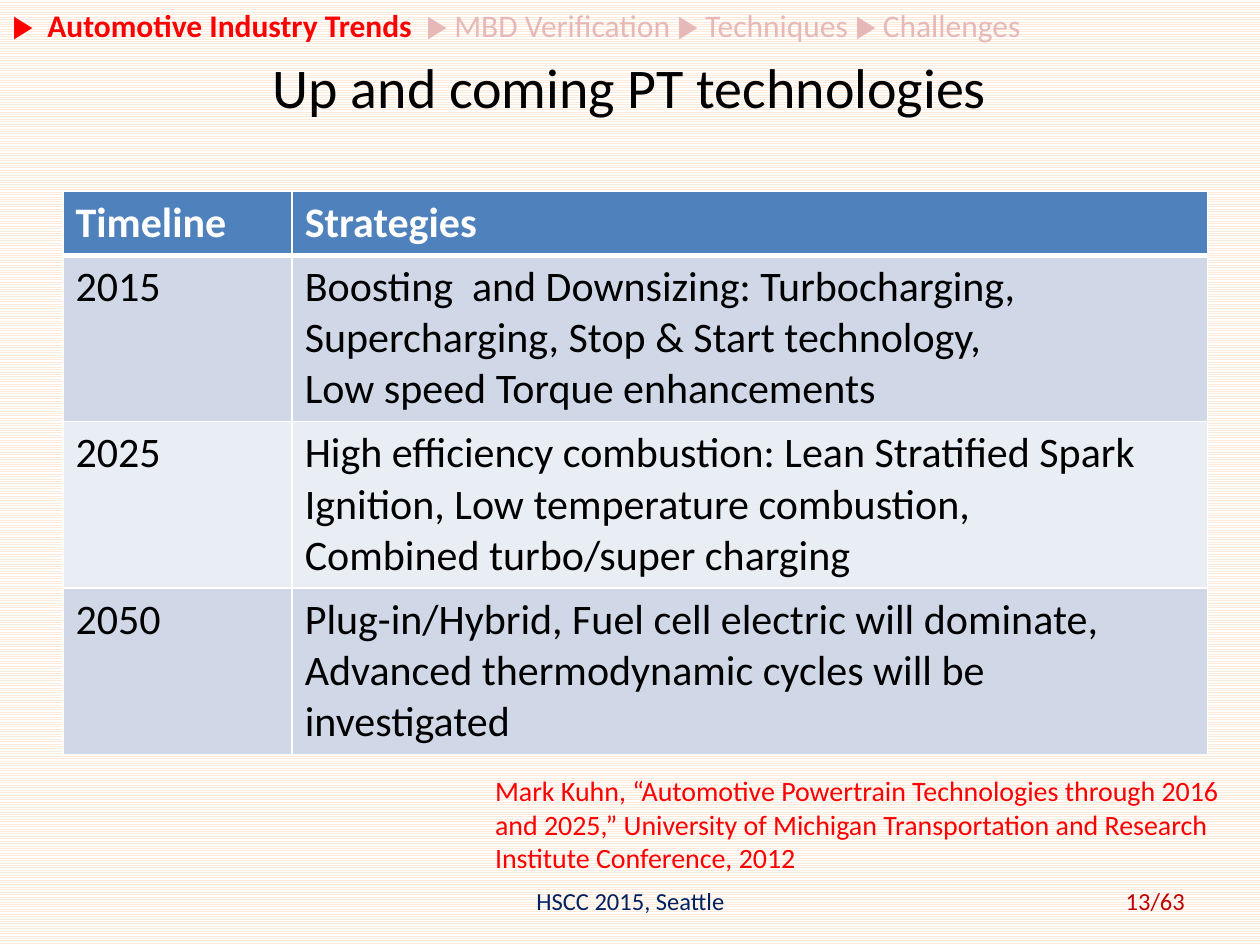
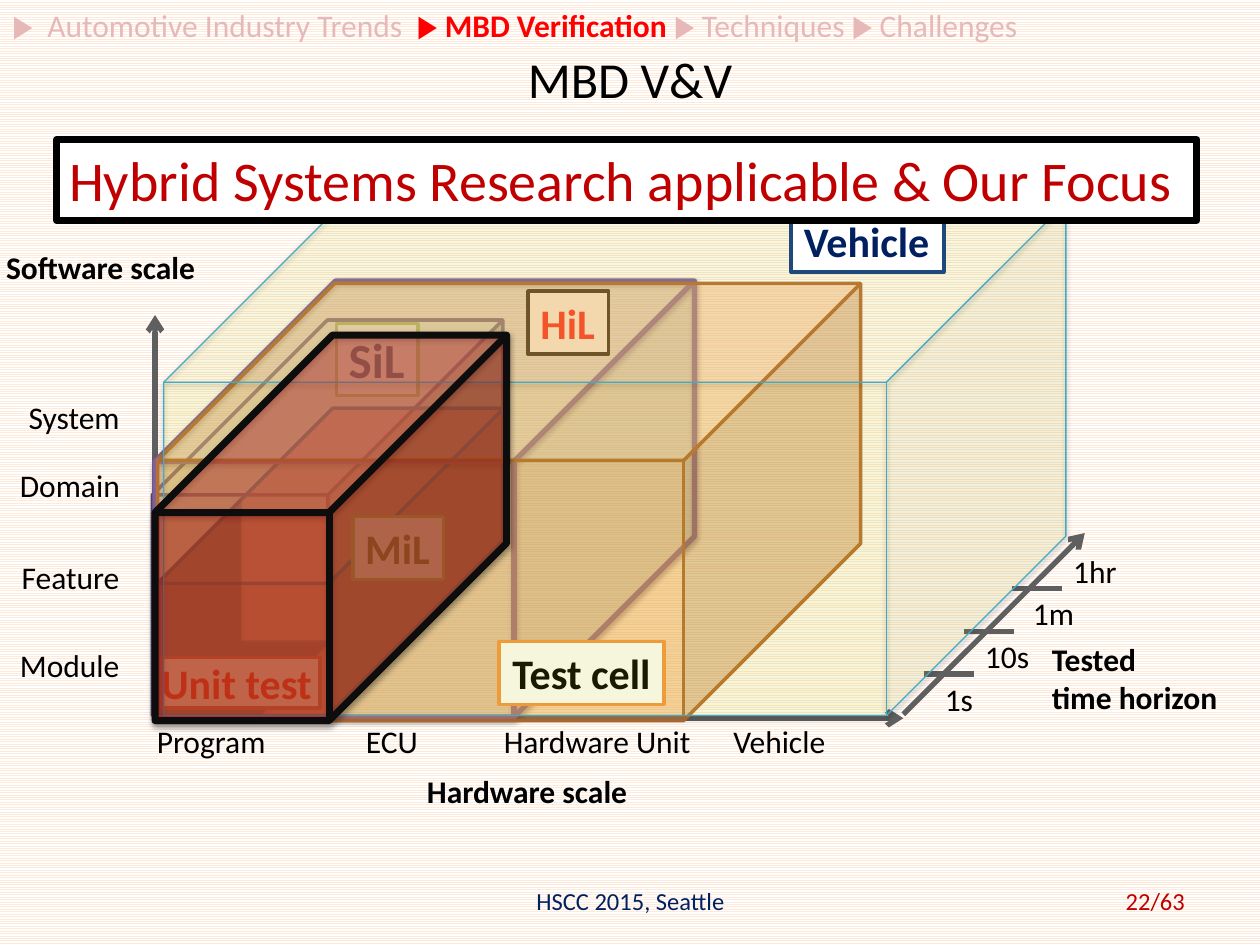
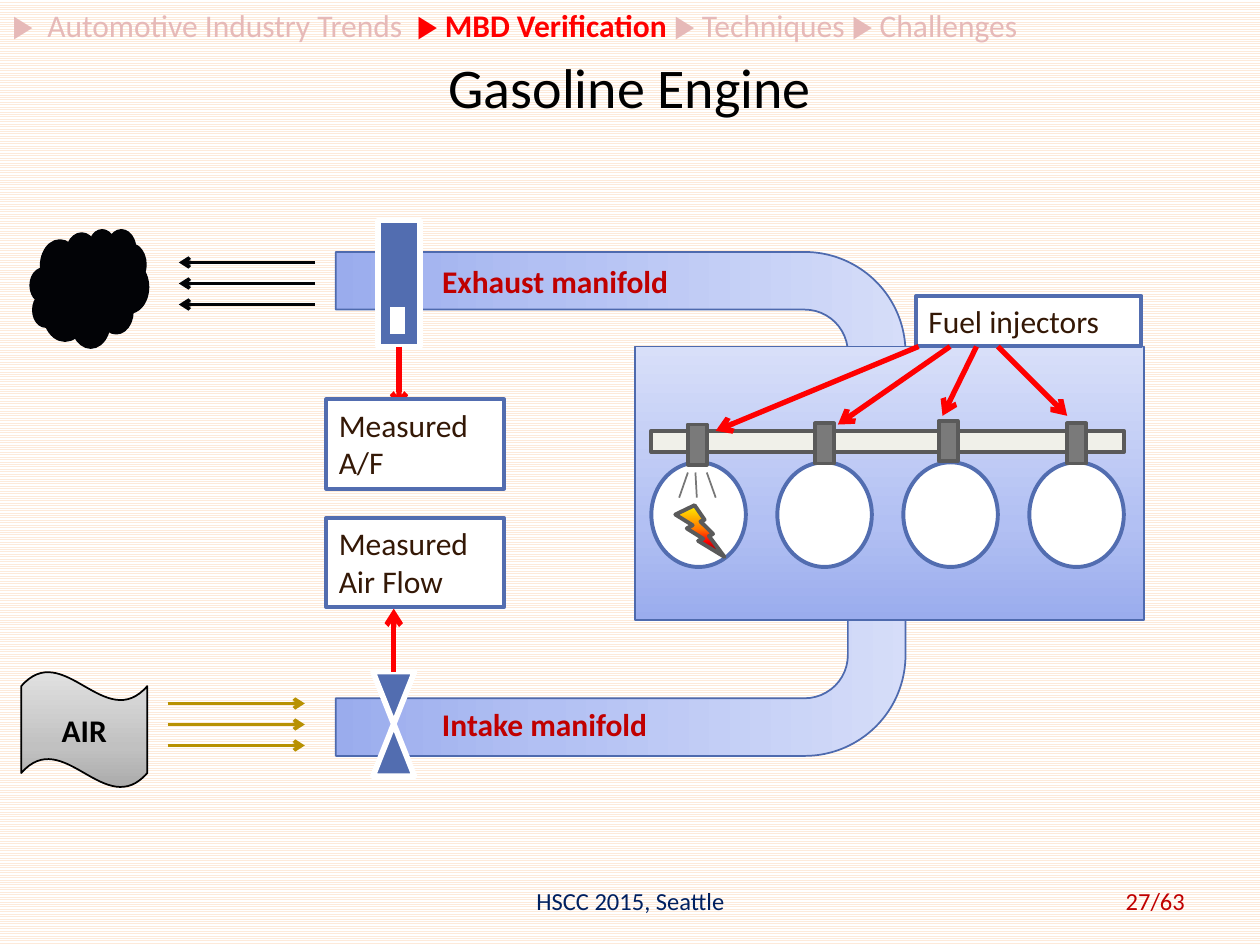
"""Build three slides about powertrain trends, verification and the gasoline engine."""
from collections import namedtuple
from dataclasses import dataclass

from pptx import Presentation
from pptx.dml.color import RGBColor
from pptx.enum.dml import MSO_PATTERN
from pptx.enum.shapes import MSO_CONNECTOR, MSO_SHAPE as Preset
from pptx.enum.text import MSO_ANCHOR as Anchor, MSO_AUTO_SIZE as Fit, PP_ALIGN as Align
from pptx.oxml import parse_xml
from pptx.oxml.ns import nsdecls, qn
from pptx.util import Pt


@dataclass(frozen=True)
class Theme:
    """Colours and type sizes of the deck."""
    font: str = "Calibri"
    title: float = 32
    small_title: float = 28.8
    large: float = 28
    table: float = 24
    body: float = 18
    source: float = 16
    footer: float = 14
    black: str = "000000"
    white: str = "FFFFFF"
    red: str = "FF0000"
    dark_red: str = "C00000"
    navy: str = "002060"
    faded: str = "E6B9B8"
    stripe: str = "FDEADA"
    header: str = "4F81BD"
    bands: tuple = ("D0D8E8", "E9EDF4")
    axis: str = "5F5F5F"
    green: str = "9BBB59"
    dark_green: str = "4F6228"
    orange: str = "F79646"
    engine: str = "526DB0"
    engine_edge: str = "4E6AAE"
    brown: str = "341806"
    steel: str = "5A5A5A"
    injector: str = "7A7A7A"
    spray: str = "777777"
    rail: str = "F0F0E9"
    air: str = "B89101"
    smoke: str = "020306"
    blue_fade: tuple = ((0, "9AACED"), (35, "B2C0F3"), (100, "D8DFF9"))
    gray_fade: tuple = ((0, "ABABAB"), (35, "C1C1C1"), (100, "E1E1E1"))
    fire_fade: tuple = ((0, "FFF200"), (45, "FF7A00"), (70, "FF0300"), (100, "4D0808"))


THEME = Theme()
SECTIONS = ("▶  Automotive Industry Trends  ", "▶ MBD Verification ", "▶ Techniques ", "▶ Challenges")
LINE_HEIGHT = 28.8


class Box(namedtuple("Box", "left top width height")):
    """A rectangle in points."""

    def inner(self, left, top, width, height=LINE_HEIGHT):
        """Return a box placed relative to this one."""
        return Box(self.left + left, self.top + top, width, height)

    def point(self, left, top):
        """Return a point placed relative to this box."""
        return self.left + left, self.top + top

    def lengths(self):
        """Return the four sides as lengths."""
        return [Pt(value) for value in self]


def rgb(code):
    """Turn a hex code into a colour."""
    return RGBColor.from_string(code)


def write(frame, text, size=THEME.body, color=THEME.black, bold=False, align=Align.LEFT,
          anchor=Anchor.TOP, wrap=True, fit=Fit.NONE, inset=None):
    """Add formatted text to a frame, one paragraph for each line."""
    frame.word_wrap = wrap
    frame.auto_size = fit
    frame.vertical_anchor = anchor
    if inset is not None:
        frame.margin_left = frame.margin_right = Pt(inset)
        frame.margin_top = frame.margin_bottom = Pt(inset)
    for number, line in enumerate(text.split("\n")):
        para = frame.add_paragraph() if number else frame.paragraphs[0]
        para.alignment = align
        span = para.add_run()
        span.text = line
        span.font.name, span.font.size, span.font.bold = THEME.font, Pt(size), bold
        span.font.color.rgb = rgb(color)


def add_label(page, box, text, **style):
    """Add a text box that holds unwrapped text unless told otherwise."""
    label = page.shapes.add_textbox(*box.lengths())
    write(label.text_frame, text, **{"wrap": False, "fit": Fit.SHAPE_TO_FIT_TEXT, **style})


def fade(shape, stops, angle):
    """Fill a shape with a linear gradient."""
    shape.fill.gradient()
    shape.fill.gradient_angle = angle
    stop_list = shape._element.spPr.find(qn("a:gradFill")).find(qn("a:gsLst"))
    for stop in list(stop_list):
        stop_list.remove(stop)
    for place, color in stops:
        stop_list.append(parse_xml(
            f'<a:gs {nsdecls("a")} pos="{place * 1000}"><a:srgbClr val="{color}"/></a:gs>'))


def finish(shape, fill, line=None, weight=2, alpha=None, shadow=None, angle=90):
    """Set fill, outline, transparency and shadow of a shape."""
    shape.shadow.inherit = False
    properties = shape._element.spPr
    if isinstance(fill, tuple):
        fade(shape, fill, angle)
    else:
        shape.fill.solid()
        shape.fill.fore_color.rgb = rgb(fill)
    if alpha:
        color = properties.find(qn("a:solidFill"))[0]
        color.append(parse_xml(f'<a:alpha {nsdecls("a")} val="{alpha * 1000}"/>'))
    if line:
        shape.line.color.rgb = rgb(line)
        shape.line.width = Pt(weight)
    else:
        shape.line.fill.background()
    if shadow:
        properties.find(qn("a:effectLst")).append(parse_xml(
            f'<a:outerShdw {nsdecls("a")} blurRad="{Pt(3.1)}" dist="{Pt(1.6)}" dir="5400000" '
            f'rotWithShape="0"><a:srgbClr val="{THEME.black}"><a:alpha val="{shadow * 1000}"/>'
            '</a:srgbClr></a:outerShdw>'))


def add_preset(page, preset, box, fill, line=None, weight=2, adjust=None, **look):
    """Add a finished preset shape."""
    shape = page.shapes.add_shape(preset, *box.lengths())
    if adjust is not None:
        shape.adjustments[0] = adjust
    finish(shape, fill, line, weight, **look)
    return shape


def add_tag(page, box, text, line, weight=2, **style):
    """Add a white outlined rectangle with text."""
    tag = add_preset(page, Preset.RECTANGLE, box, THEME.white, line, weight)
    write(tag.text_frame, text, **style)


def add_line(page, start, end, color, weight, arrow=True, source=None, side=2):
    """Add a straight line, with an arrowhead at its end if wanted."""
    link = page.shapes.add_connector(MSO_CONNECTOR.STRAIGHT, *[Pt(v) for v in (*start, *end)])
    if source is not None:
        link.begin_connect(source, side)
    link.line.color.rgb = rgb(color)
    link.line.width = Pt(weight)
    if arrow:
        link.line._get_or_add_ln().append(parse_xml(f'<a:tailEnd {nsdecls("a")} type="arrow"/>'))
    link._element.spPr.append(parse_xml(f'<a:effectLst {nsdecls("a")}/>'))


def add_page(deck, title, box, size=THEME.title):
    """Add a title-only slide with its title."""
    page = deck.slides.add_slide(deck.slide_layouts[5])
    holder = page.shapes.title
    holder.left, holder.top, holder.width, holder.height = box.lengths()
    write(holder.text_frame, title, size=size, align=Align.CENTER, anchor=Anchor.MIDDLE)
    return page


def add_frame(page, active, number):
    """Add the section trail and the footer."""
    trail = page.shapes.add_textbox(*Box(0, 0, 720, LINE_HEIGHT).lengths())
    for place, section in enumerate(SECTIONS):
        current = place == active
        write(trail.text_frame, section, color=THEME.red if current else THEME.faded, bold=current)
    footer = {"size": THEME.footer, "anchor": Anchor.MIDDLE, "wrap": True, "fit": Fit.NONE}
    add_label(page, Box(246.2, 500.4, 228.2, LINE_HEIGHT), "HSCC 2015, Seattle",
              color=THEME.navy, align=Align.CENTER, **footer)
    add_label(page, Box(516.2, 500.4, 168, LINE_HEIGHT), f"{number}/63",
              color=THEME.dark_red, align=Align.RIGHT, **footer)


def border_cell(cell, bottom):
    """Give a cell white borders."""
    for side, weight in (("L", 1), ("R", 1), ("T", 1), ("B", bottom)):
        cell._tc.get_or_add_tcPr().append(parse_xml(
            f'<a:ln{side} {nsdecls("a")} w="{Pt(weight)}"><a:solidFill>'
            f'<a:srgbClr val="{THEME.white}"/></a:solidFill></a:ln{side}>'))


def add_timeline(page, box):
    """Add the table of strategies by year."""
    rows = (
        ("Timeline", "Strategies"),
        ("2015", "Boosting  and Downsizing: Turbocharging, Supercharging, Stop & Start technology,\n"
                 "Low speed Torque enhancements"),
        ("2025", "High efficiency combustion: Lean Stratified Spark Ignition, Low temperature "
                 "combustion,\nCombined turbo/super charging"),
        ("2050", "Plug-in/Hybrid, Fuel cell electric will dominate, Advanced thermodynamic cycles "
                 "will be investigated"),
    )
    table = page.shapes.add_table(len(rows), 2, *box.lengths()).table
    table.columns[0].width, table.columns[1].width = Pt(131), Pt(box.width - 131)
    for number, row in enumerate(rows):
        head = number == 0
        table.rows[number].height = Pt(35.5 if head else (box.height - 35.5) / 3)
        for column, text in enumerate(row):
            cell = table.cell(number, column)
            border_cell(cell, 3 if head else 1)
            cell.fill.solid()
            cell.fill.fore_color.rgb = rgb(THEME.header if head else THEME.bands[(number - 1) % 2])
            write(cell.text_frame, text, size=THEME.table, bold=head,
                  color=THEME.white if head else THEME.black)


def add_scales(page, box):
    """Add the time horizon and software scale labels and the two lower axes."""
    marks = (("1s", 532.8, 31, 527.8), ("10s", 555.8, 40.3, 550.8),
             ("1m", 583.2, 38.9, 578.2), ("1hr", 606.2, 39.6, None))
    for number, (text, left, width, tick) in enumerate(marks):
        top = 313.2 - 24.5 * number
        add_label(page, box.inner(left, top, width), text)
        if tick:
            add_line(page, box.point(tick, top), box.point(tick + 28.6, top), THEME.axis, 3, arrow=False)
    add_label(page, box.inner(594, 290.2, 110.2, 51.1), "Tested\ntime horizon", bold=True)
    levels = (("System", 151.9, 67), ("Domain", 190.8, 72), ("Feature", 243.4, 71), ("Module", 293.8, 72))
    for text, top, width in levels:
        add_label(page, box.inner(76.3 - width, top, width), text)
    add_label(page, box.inner(-3.6, 66.2, 123.8), "Software scale", bold=True)
    add_line(page, box.point(92.2, 338.4), box.point(516.2, 338.4), THEME.axis, 3)
    add_line(page, box.point(516.2, 336.2), box.point(619.9, 232.6), THEME.axis, 3)


def add_hardware_scale(page, box):
    """Add the hardware labels and the upright axis."""
    add_label(page, box.inner(236.9, 365.8, 129.6), "Hardware scale", bold=True)
    add_line(page, box.point(88.6, 337), box.point(88.6, 108), THEME.axis, 3)
    steps = (("Program", 81.4, 78.5), ("ECU", 201.6, 44.6),
             ("Hardware Unit", 280.1, 122.4), ("Vehicle", 411.1, 68.4))
    for text, left, width in steps:
        add_label(page, box.inner(left, 337, width), text, align=Align.CENTER)


def add_unit_area(page, box):
    """Add the outline of the unit test area."""
    corners = [box.point(*corner) for corner in (
        (88.6, 261.4), (88.6, 337.7), (148.3, 338.4), (188.6, 294.5), (137.5, 293.8), (137.5, 212.4))]
    builder = page.shapes.build_freeform(*corners[0], scale=Pt(1))
    builder.add_line_segments(corners[1:], close=True)
    finish(builder.convert_to_shape(), THEME.navy, alpha=40, shadow=38)


def add_verification(page, box):
    """Add the nested verification cubes with their scales and tags."""
    def cube(place, fill, line, adjust, weight=2, **look):
        add_preset(page, Preset.CUBE, box.inner(*place), fill, line, weight, adjust, **look)

    def tag(place, text, line, color, weight=2, **style):
        add_tag(page, box.inner(*place), text, line, weight, color=color,
                **{"size": THEME.table, "bold": True, "wrap": False, **style})

    cube((87.1, 110.9, 200.2, 226.1), "EBF1DE", "5F4A78", 0.499)
    cube((90, 161.3, 198, 175.7), THEME.dark_red, "3A5F8C", 0.57, alpha=40)
    add_unit_area(page, box)
    add_scales(page, box)
    tag((192.2, 113, 46.8, 41), "SiL", THEME.green, THEME.navy, size=THEME.large)
    tag((201.6, 223.2, 51.8, 36), "MiL", THEME.green, THEME.dark_green)
    add_hardware_scale(page, box)
    tag((92.2, 303.8, 90.7, 28.8), "Unit test", "C0504D", THEME.red, wrap=True, inset=0)
    cube((88.6, 88.6, 308.2, 249.1), "93CDDD", "7D60A0", 0.414, 3, alpha=19, shadow=38)
    tag((301.7, 94.3, 46.1, 36), "HiL", THEME.black, THEME.red)
    cube((90, 90, 401.8, 249.8), THEME.orange, "B76F34", 0.405, alpha=40)
    tag((285.1, 294.5, 94.3, 36), "Test cell", THEME.orange, THEME.black, align=Align.CENTER)
    cube((93.6, 43.9, 515.5, 293), "FFFF00", "46AAC5", 0.35, 0.75, alpha=10, shadow=38)
    tag((452.2, 47.5, 87.1, 36), "Vehicle", "1F497D", THEME.navy, 2.25)
    cube((88.6, 119.5, 200.9, 220.3), THEME.dark_red, "0D0D0D", 0.505, 4, alpha=40, shadow=35)
    tag((32.4, 7.9, 651.6, 46.1), "Hybrid Systems Research applicable & Our Focus",
        THEME.black, THEME.dark_red, 4, size=THEME.title, bold=False)


def add_pipes(page, box):
    """Add the exhaust and intake pipes and the engine block."""
    exhaust, intake = [
        add_preset(page, Preset.BENT_ARROW, box.inner(297, top, 131.8, 342),
                   THEME.blue_fade, THEME.engine_edge, 1) for top in (-69.1, 87.1)]
    exhaust.rotation, intake.rotation = 90, 270
    intake._element.spPr.find(qn("a:xfrm")).set("flipV", "1")
    add_preset(page, Preset.RECTANGLE, box.inner(362.9, 90, 290.9, 156.2),
               THEME.blue_fade, THEME.engine_edge, 1)


def add_flows(page, box):
    """Add the air and exhaust arrows, the sensor and the throttle."""
    for start, end, first, color in ((95.8, 174.2, 294, THEME.air), (180, 102.2, 42, THEME.smoke)):
        for number in range(3):
            top = first + 12 * number
            add_line(page, box.point(start, top), box.point(end, top), color, 2)
    sensor = add_preset(page, Preset.RECTANGLE, box.inner(216, 18, 24, 72),
                        THEME.engine, THEME.white, 3.25)
    add_line(page, box.point(228, 90), box.point(228, 126), THEME.red, 3, source=sensor)
    add_preset(page, Preset.RECTANGLE, box.inner(221.8, 66.2, 10.8, 18), THEME.white, THEME.engine, 2.25)
    throttle = add_preset(page, Preset.FLOWCHART_COLLATE, box.inner(213.1, 275.8, 23.8, 59.8),
                          THEME.engine, THEME.white, 3.25)
    add_line(page, box.point(225, 275.8), box.point(225, 239.8), THEME.red, 3, source=throttle, side=0)


def add_cylinders(page, box):
    """Add the cylinders, the spark, the fuel rail and the injectors."""
    for number in range(4):
        add_preset(page, Preset.OVAL, box.inner(372.2 + 72 * number, 156.2, 54, 59.8),
                   THEME.white, THEME.engine, 2.25)
    add_preset(page, Preset.LIGHTNING_BOLT, box.inner(385.9, 180.7, 28.1, 29.5),
               THEME.fire_fade, THEME.steel, 2.25, angle=270)
    add_preset(page, Preset.RECTANGLE, box.inner(372.2, 138.2, 270, 12.2), THEME.rail, THEME.steel, 2.25)
    for left, top in ((393.1, 134.6), (465.8, 133.9), (536.4, 132.5), (609.8, 133.9)):
        add_preset(page, Preset.RECTANGLE, box.inner(left, top, 10.8, 23), THEME.injector, THEME.steel, 2.25)
    for start, end in ((393.1, 388.1), (397.4, 398.2), (403.9, 409)):
        add_line(page, box.point(start, 162), box.point(end, 176.4), THEME.spray, 1, arrow=False)


def add_engine(page, box):
    """Add the engine scheme with its labels."""
    add_pipes(page, box)
    add_cylinders(page, box)
    add_flows(page, box)
    for text, top, width in (("Intake manifold", 291.6, 132.5), ("Exhaust manifold", 38.2, 144.7)):
        add_label(page, box.inner(245.5, top, width), text, color=THEME.dark_red, bold=True)
    notes = (("Measured Air Flow", (186.5, 187.9, 101.5, 51.1)),
             ("Measured A/F", (186.5, 120.2, 101.5, 51.1)),
             ("Fuel injectors", (523.4, 61.2, 128.9, 28.8)))
    for text, place in notes:
        add_tag(page, box.inner(*place), text, THEME.engine, 2.25, color=THEME.brown)
    for start, end in ((524.9, (409, 138.2)), (542.9, (478.8, 134.6)),
                       (558, (538.6, 129.6)), (570.2, (609.8, 129.6))):
        add_line(page, box.point(start, 90), box.point(*end), THEME.red, 3)
    add_preset(page, Preset.CLOUD, box.inner(18, 23.8, 66.2, 66.2), THEME.smoke, THEME.smoke, 2.25)
    air = add_preset(page, Preset.WAVE, box.inner(12.2, 275.8, 72, 66.2), THEME.gray_fade, THEME.black, 1)
    write(air.text_frame, "AIR", bold=True, align=Align.CENTER, anchor=Anchor.MIDDLE)


def main():
    """Build and save the deck."""
    deck = Presentation()
    deck.slide_width, deck.slide_height = Pt(720), Pt(540)
    backdrop = deck.slide_master.background.fill
    backdrop.patterned()
    backdrop.pattern = MSO_PATTERN.LIGHT_HORIZONTAL
    backdrop.fore_color.rgb, backdrop.back_color.rgb = rgb(THEME.stripe), rgb(THEME.white)
    title_box = Box(0, 23.8, 720, 50.4)

    page = add_page(deck, "Up and coming PT technologies", title_box)
    add_timeline(page, Box(36, 109.4, 654, 320.5))
    add_label(page, Box(275.8, 438.5, 437.8, 65.5),
              "Mark Kuhn, “Automotive Powertrain Technologies through 2016 and 2025,” University of "
              "Michigan Transportation and Research Institute Conference, 2012",
              size=THEME.source, color=THEME.red, wrap=True)
    add_frame(page, 0, 13)

    page = add_page(deck, "MBD V&V", Box(0, 23, 720, 43.2), THEME.small_title)
    add_verification(page, Box(0, 72, 720, 400))
    add_frame(page, 1, 22)

    page = add_page(deck, "Gasoline Engine", title_box)
    add_engine(page, Box(0, 108, 720, 360))
    add_frame(page, 1, 27)
    deck.save("out.pptx")


if __name__ == "__main__":
    main()
